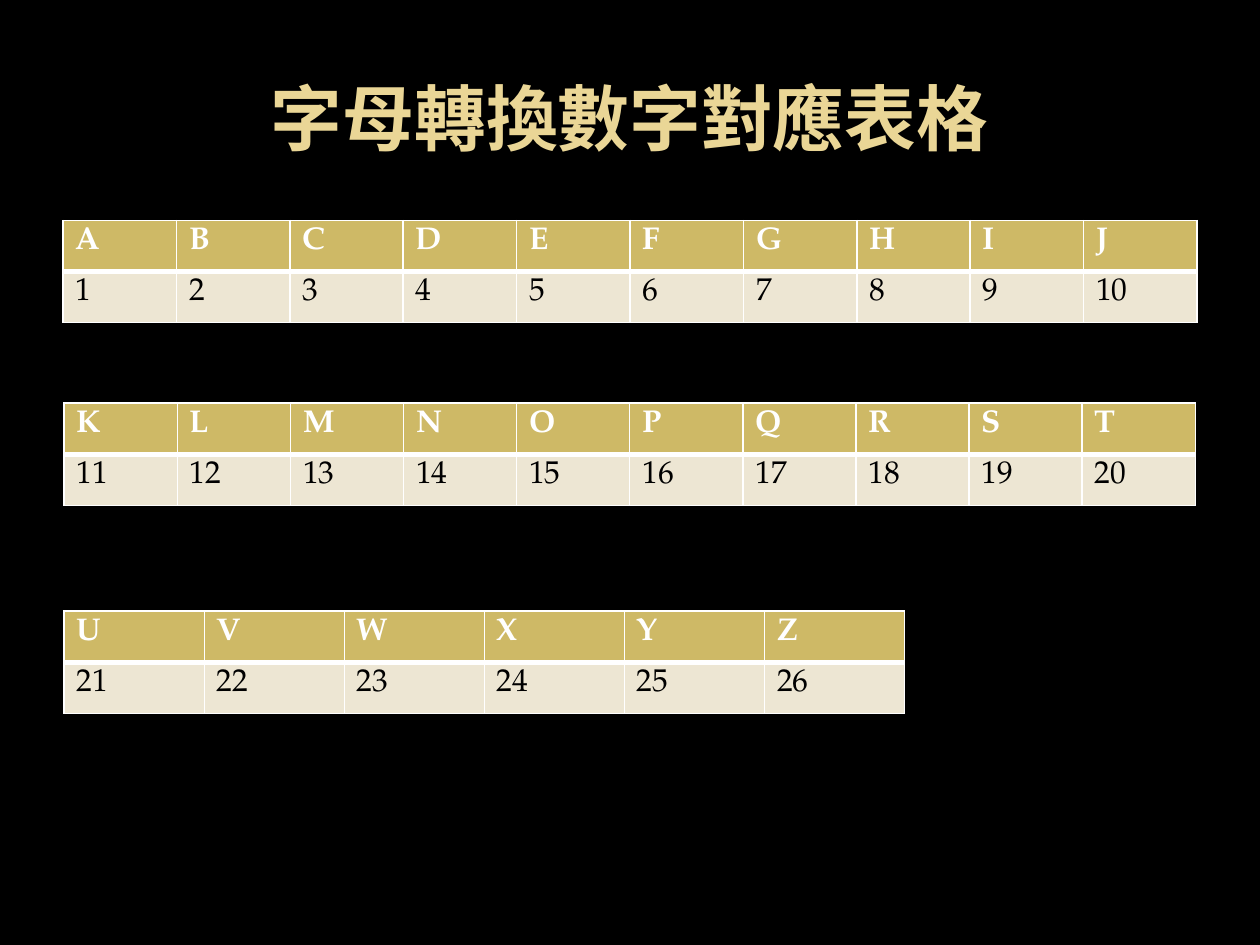
from dataclasses import dataclass

import pptx
import pptx.dml.color
import pptx.enum.text
import pptx.oxml.ns
import pptx.presentation
import pptx.slide
import pptx.table
import pptx.util
from lxml import etree


@dataclass(frozen=True)
class Theme:
    background: str = "000000"
    title_top: str = "EAD696"
    title_bottom: str = "E7D081"
    header_fill: str = "CEB966"
    header_text: str = "FFFFFF"
    body_fill: str = "EDE6D3"
    body_text: str = "000000"
    border: str = "FFFFFF"
    title_font: str = "Noto Sans"
    table_font: str = "TeX Gyre Pagella"
    title_size: float = 41
    table_size: float = 18
    thin: float = 1
    thick: float = 3


@dataclass(frozen=True)
class LetterTable:
    letters: str
    left: float
    top: float
    width: float


THEME = Theme()
ROW_HEIGHT = 29.2
LETTER_TABLES = (
    LetterTable("ABCDEFGHIJ", 36, 126, 648),
    LetterTable("KLMNOPQRST", 36.72, 230.4, 646.56),
    LetterTable("UVWXYZ", 36.72, 349.2, 480.24),
)


def rgb(value: str) -> pptx.dml.color.RGBColor:
    return pptx.dml.color.RGBColor.from_string(value)


def add_title(s: pptx.slide.Slide, text: str) -> None:
    box = s.shapes.add_textbox(*map(pptx.util.Pt, (36, 21.6, 648, 90)))
    tf = box.text_frame
    tf.word_wrap = True
    tf.vertical_anchor = pptx.enum.text.MSO_ANCHOR.MIDDLE
    tf.text = text
    p = tf.paragraphs[0]
    p.alignment = pptx.enum.text.PP_ALIGN.CENTER
    font = p.runs[0].font
    font.name = THEME.title_font
    font.size = pptx.util.Pt(THEME.title_size)
    font.bold = True
    font.fill.gradient()
    font.fill.gradient_angle = 280
    stops = ((0.73, THEME.title_top), (1, THEME.title_bottom))
    for stop, (position, color) in zip(font.fill.gradient_stops, stops):
        stop.position = position
        stop.color.rgb = rgb(color)


def set_borders(cell: pptx.table._Cell, top: float, bottom: float) -> None:
    """Draw the cell's four edges; the sides are always thin."""
    qn = pptx.oxml.ns.qn
    tc_pr = cell._tc.get_or_add_tcPr()
    edges = {"L": THEME.thin, "R": THEME.thin, "T": top, "B": bottom}
    for side, width in edges.items():
        line = etree.SubElement(tc_pr, qn(f"a:ln{side}"), w=str(pptx.util.Pt(width)))
        fill = etree.SubElement(line, qn("a:solidFill"))
        etree.SubElement(fill, qn("a:srgbClr"), val=THEME.border)


def fill_cell(cell: pptx.table._Cell, text: str, is_header: bool) -> None:
    if is_header:
        set_borders(cell, THEME.thin, THEME.thick)
    else:
        set_borders(cell, THEME.thick, THEME.thin)
    cell.fill.solid()
    cell.fill.fore_color.rgb = rgb(THEME.header_fill if is_header else THEME.body_fill)
    cell.text_frame.text = text
    font = cell.text_frame.paragraphs[0].runs[0].font
    font.name = THEME.table_font
    font.size = pptx.util.Pt(THEME.table_size)
    font.bold = is_header
    font.color.rgb = rgb(THEME.header_text if is_header else THEME.body_text)


def add_letter_table(s: pptx.slide.Slide, spec: LetterTable) -> None:
    """Add a row of letters above a row of their places in the alphabet."""
    count = len(spec.letters)
    frame = (spec.left, spec.top, spec.width, 2 * ROW_HEIGHT)
    table = s.shapes.add_table(2, count, *map(pptx.util.Pt, frame)).table
    for row in table.rows:
        row.height = pptx.util.Pt(ROW_HEIGHT)
    for i, letter in enumerate(spec.letters):
        table.columns[i].width = pptx.util.Pt(spec.width / count)
        fill_cell(table.cell(0, i), letter, True)
        fill_cell(table.cell(1, i), str(ord(letter) - ord("A") + 1), False)


def main() -> None:
    prs = pptx.Presentation()
    prs.slide_width = pptx.util.Pt(720)
    prs.slide_height = pptx.util.Pt(540)
    s = prs.slides.add_slide(prs.slide_layouts[6])
    s.background.fill.solid()
    s.background.fill.fore_color.rgb = rgb(THEME.background)
    add_title(s, "字母轉換數字對應表格")
    for letter_table in LETTER_TABLES:
        add_letter_table(s, letter_table)
    prs.save("out.pptx")


if __name__ == "__main__":
    main()
